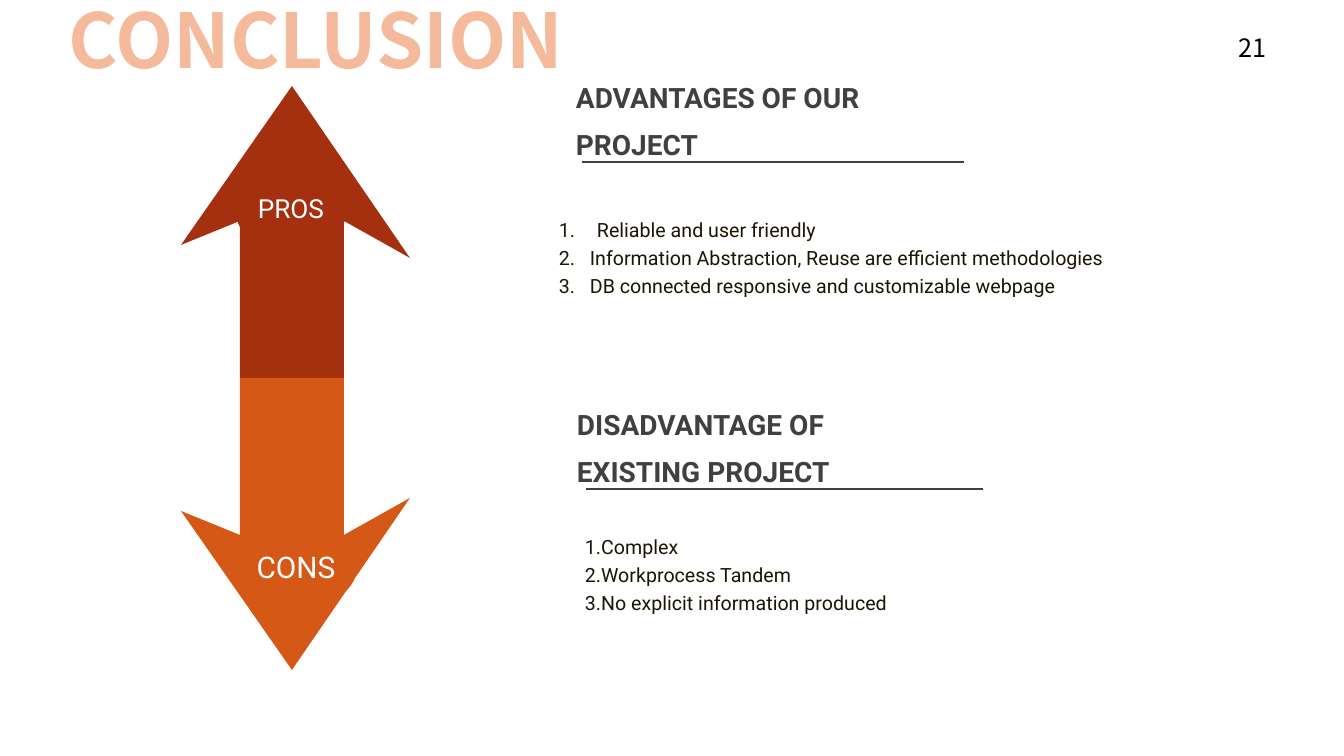
"""Build the conclusion slide with a pros and cons arrow and two lists."""
from lxml import etree
from pptx import Presentation
from pptx.dml.color import RGBColor
from pptx.enum.shapes import MSO_CONNECTOR, MSO_SHAPE
from pptx.enum.text import MSO_ANCHOR, PP_ALIGN
from pptx.oxml.ns import qn
from pptx.util import Emu, Pt

STRAIGHT = MSO_CONNECTOR.STRAIGHT
ELLIPSE = MSO_SHAPE.OVAL
TOP, MIDDLE = MSO_ANCHOR.TOP, MSO_ANCHOR.MIDDLE
CENTER, LEFT = PP_ALIGN.CENTER, PP_ALIGN.LEFT
BODY_FONT, TITLE_FONT = "Roboto", "Noto Sans CJK SC"
COLORS = {"title": "F5BA9B", "heading": "404040", "body": "1A1504", "number": "000000",
          "pros": "A5300F", "cons": "D55816", "label": "FFFFFF"}

TITLE = "CONCLUSION"
PAGE_NUMBER = "21"
SECTIONS = [
    {"heading": "ADVANTAGES OF OUR PROJECT", "heading_at": (566, 62, 381, 100),
     "rule": (582, 964, 162), "list_at": (549, 208, 637, 93), "indents": (38, 31, 31),
     "items": ("Reliable and user friendly",
               "Information Abstraction, Reuse are efficient methodologies",
               "DB connected responsive and customizable webpage")},
    {"heading": "DISADVANTAGE OF EXISTING PROJECT", "heading_at": (567, 389, 390, 100),
     "rule": (586, 983, 489), "list_at": (575, 525, 637, 93), "indents": (0, 0, 0),
     "items": ("1.Complex", "2.Workprocess Tandem", "3.No explicit information produced")},
]
MIDLINE = 378
ARROW = [(344, 0), (344, 157), (410, 120), (292, 292), (181, 133), (240, 157), (240, 0)]
ARROWS = [("PROS", "pros", -1, (235, 162, 112, 92), 18.7),
          ("CONS", "cons", 1, (235, 525, 122, 84), 21.3)]


def px(length):
    return Emu(round(length * 914400 / 100.8))


def color(name):
    return RGBColor.from_string(COLORS[name])


def write(para, text, size, name, font=BODY_FONT, bold=False, align=LEFT, spacing=1.0):
    para.alignment = align
    para.line_spacing = spacing
    span = para.add_run()
    span.text = text
    span.font.size, span.font.name, span.font.bold = Pt(size), font, bold
    span.font.color.rgb = color(name)


def add_box(page, place):
    frame = page.shapes.add_textbox(*map(px, place)).text_frame
    frame.word_wrap = True
    return frame


def number(para, indent):
    properties = para._p.get_or_add_pPr()
    properties.set("marL", str(px(indent)))
    properties.set("indent", str(-px(indent)))
    etree.SubElement(properties, qn("a:buAutoNum"), type="arabicPeriod")


def add_section(page, section):
    heading = add_box(page, section["heading_at"])
    write(heading.paragraphs[0], section["heading"], 20, "heading", bold=True, spacing=1.4)
    left, right, y = section["rule"]
    rule = page.shapes.add_connector(STRAIGHT, px(left), px(y), px(right), px(y))
    rule.line.color.rgb = color("heading")
    rule.line.width = Pt(0)
    etree.SubElement(rule._element.spPr, qn("a:effectLst"))
    frame = add_box(page, section["list_at"])
    for index, (item, indent) in enumerate(zip(section["items"], section["indents"])):
        para = frame.add_paragraph() if index else frame.paragraphs[0]
        if indent:
            number(para, indent)
        write(para, item, 14, "body", spacing=1.2)


def paint(shape, name):
    shape.shadow.inherit = False
    shape.fill.solid()
    shape.fill.fore_color.rgb = color(name)
    shape.line.fill.background()


def add_arrow(page, label, name, direction, place, size):
    points = [(px(x), px(MIDLINE + direction * y)) for x, y in ARROW]
    outline = page.shapes.build_freeform(*points[0])
    outline.add_line_segments(points[1:], close=True)
    paint(outline.convert_to_shape(), name)
    badge = page.shapes.add_shape(ELLIPSE, *map(px, place))
    paint(badge, name)
    frame = badge.text_frame
    frame.margin_left = frame.margin_right = frame.margin_top = frame.margin_bottom = 0
    frame.vertical_anchor = MIDDLE
    write(frame.paragraphs[0], label, size, "label", align=CENTER)


def main():
    deck = Presentation()
    deck.slide_width, deck.slide_height = px(1344), px(756)
    page = deck.slides.add_slide(deck.slide_layouts[5])
    title = page.shapes.title
    title.left, title.top, title.width, title.height = map(px, (16, 0, 600, 110))
    title.text_frame.vertical_anchor = TOP
    title.text_frame.margin_top = px(3)
    write(title.text_frame.paragraphs[0], TITLE, 54, "title", TITLE_FONT, True, CENTER, 0.9)
    for section in SECTIONS:
        add_section(page, section)
    for arrow in ARROWS:
        add_arrow(page, *arrow)
    corner = add_box(page, (1229, 27, 110, 40))
    write(corner.paragraphs[0], PAGE_NUMBER, 18, "number", TITLE_FONT)
    deck.save("out.pptx")


if __name__ == "__main__":
    main()
